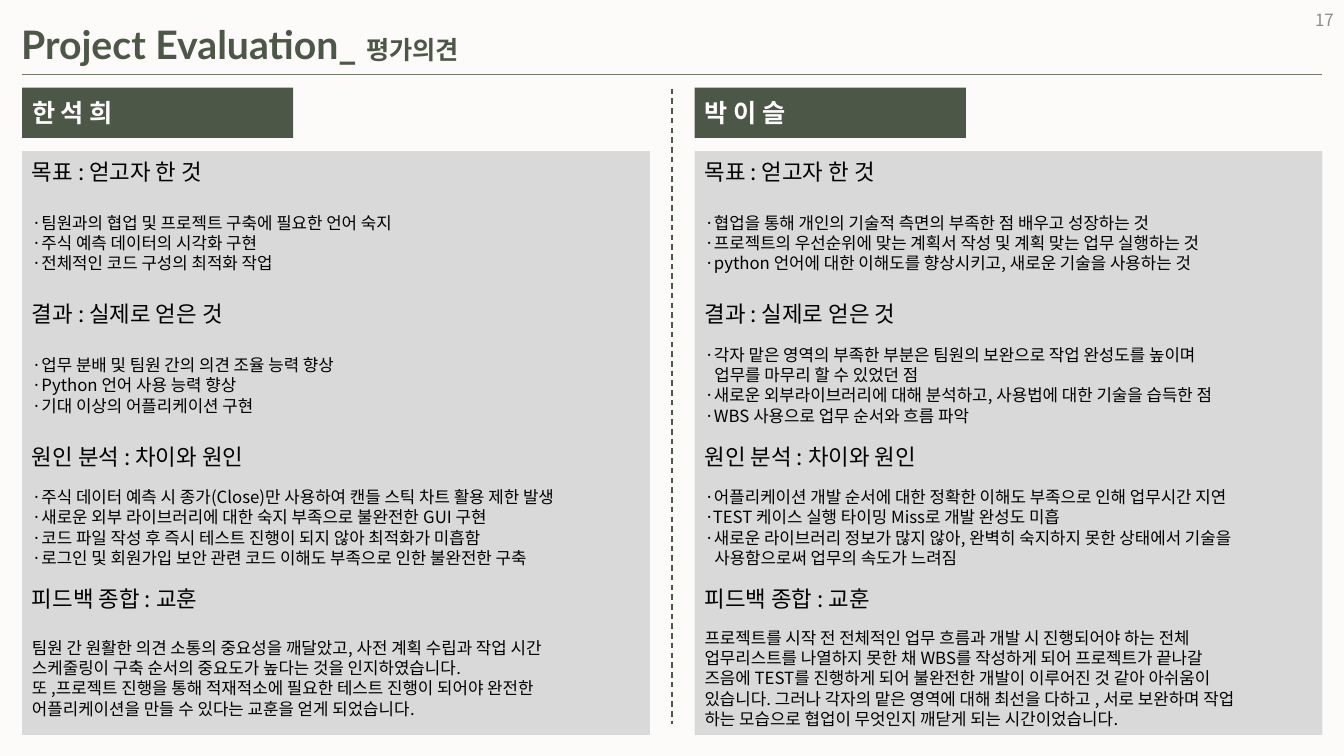
from lxml.etree import SubElement
from pptx import Presentation
from pptx.dml.color import RGBColor
from pptx.enum.dml import MSO_LINE_DASH_STYLE as Dash
from pptx.enum.shapes import MSO_CONNECTOR as Connector, MSO_SHAPE as Shape
from pptx.enum.text import MSO_ANCHOR as Anchor, MSO_AUTO_SIZE as AutoSize, PP_ALIGN as Align
from pptx.oxml.ns import qn
from pptx.util import Pt

KOREAN = "Noto Sans CJK KR"
GREEN = "4D5747"
HEADINGS = ["목표 : 얻고자 한 것", "결과 : 실제로 얻은 것", "원인 분석 : 차이와 원인", "피드백 종합 : 교훈"]
REVIEWS = {
    "한 석 희": [
        ["·팀원과의 협업 및 프로젝트 구축에 필요한 언어 숙지",
         "·주식 예측 데이터의 시각화 구현",
         "·전체적인 코드 구성의 최적화 작업"],
        ["·업무 분배 및 팀원 간의 의견 조율 능력 향상",
         "·Python 언어 사용 능력 향상",
         "·기대 이상의 어플리케이션 구현"],
        ["·주식 데이터 예측 시 종가(Close)만 사용하여 캔들 스틱 차트 활용 제한 발생",
         "·새로운 외부 라이브러리에 대한 숙지 부족으로 불완전한 GUI 구현",
         "·코드 파일 작성 후 즉시 테스트 진행이 되지 않아 최적화가 미흡함",
         "·로그인 및 회원가입 보안 관련 코드 이해도 부족으로 인한 불완전한 구축"],
        ["팀원 간 원활한 의견 소통의 중요성을 깨달았고, 사전 계획 수립과 작업 시간",
         "스케줄링이 구축 순서의 중요도가 높다는 것을 인지하였습니다.",
         "또 ,프로젝트 진행을 통해 적재적소에 필요한 테스트 진행이 되어야 완전한",
         "어플리케이션을 만들 수 있다는 교훈을 얻게 되었습니다."],
    ],
    "박 이 슬": [
        ["·협업을 통해 개인의 기술적 측면의 부족한 점 배우고 성장하는 것",
         "·프로젝트의 우선순위에 맞는 계획서 작성 및 계획 맞는 업무 실행하는 것",
         "·python 언어에 대한 이해도를 향상시키고, 새로운 기술을 사용하는 것"],
        ["·각자 맡은 영역의 부족한 부분은 팀원의 보완으로 작업 완성도를 높이며\v업무를 마무리 할 수 있었던 점",
         "·새로운 외부라이브러리에 대해 분석하고, 사용법에 대한 기술을 습득한 점",
         "·WBS 사용으로 업무 순서와 흐름 파악"],
        ["·어플리케이션 개발 순서에 대한 정확한 이해도 부족으로 인해 업무시간 지연",
         "·TEST 케이스 실행 타이밍 Miss로 개발 완성도 미흡",
         "·새로운 라이브러리 정보가 많지 않아, 완벽히 숙지하지 못한 상태에서 기술을\v사용함으로써 업무의 속도가 느려짐"],
        ["프로젝트를 시작 전 전체적인 업무 흐름과 개발 시 진행되어야 하는 전체",
         "업무리스트를 나열하지 못한 채 WBS를 작성하게 되어 프로젝트가 끝나갈",
         "즈음에 TEST를 진행하게 되어 불완전한 개발이 이루어진 것 같아 아쉬움이",
         "있습니다. 그러나 각자의 맡은 영역에 대해 최선을 다하고 , 서로 보완하며 작업",
         "하는 모습으로 협업이 무엇인지 깨닫게 되는 시간이었습니다."],
    ],
}


def rgb(color):
    return RGBColor.from_string(color)


def format_run(run, size, color, bold=False, latin=KOREAN):
    run.font.size = Pt(size)
    run.font.bold = bold
    run.font.color.rgb = rgb(color)
    run.font.name = latin
    SubElement(run.font._element, qn("a:ea"), typeface=KOREAN)


def write(frame, lines, size, color, bold=False, align=Align.LEFT, spacing=None):
    frame.word_wrap = True
    frame.vertical_anchor = Anchor.MIDDLE
    frame.text = "\n".join(lines)
    for paragraph, line in zip(frame.paragraphs, lines):
        paragraph.text = line
        paragraph.alignment = align
        if spacing:
            paragraph.line_spacing = Pt(spacing)
        if line.startswith("·"):
            properties = paragraph._p.get_or_add_pPr()
            properties.set("marL", str(Pt(7)))
            properties.set("indent", str(-Pt(7)))
        for run in paragraph.runs:
            format_run(run, size, color, bold)


def add_text(slide, left, top, width, height, lines, size, color, **options):
    box = slide.shapes.add_textbox(Pt(left), Pt(top), Pt(width), Pt(height))
    write(box.text_frame, lines, size, color, **options)


def add_panel(slide, left, top, width, height, color):
    panel = slide.shapes.add_shape(Shape.RECTANGLE, Pt(left), Pt(top), Pt(width), Pt(height))
    panel.shadow.inherit = False
    panel.fill.solid()
    panel.fill.fore_color.rgb = rgb(color)
    panel.line.fill.background()
    return panel


def add_rule(slide, start, end, color, dash=None):
    rule = slide.shapes.add_connector(Connector.STRAIGHT, *map(Pt, start + end))
    rule.line.color.rgb = rgb(color)
    rule.line.width = Pt(1)
    if dash:
        rule.line.dash_style = dash
    SubElement(rule._element.spPr, qn("a:effectLst"))


def add_header(slide, left, top, width, height):
    title = slide.shapes.title
    title.left, title.top, title.width, title.height = Pt(left - 7.9), Pt(top), Pt(371), Pt(height)
    frame = title.text_frame
    frame.auto_size = AutoSize.NONE
    frame.word_wrap = False
    frame.vertical_anchor = Anchor.TOP
    heading = frame.paragraphs[0]
    heading.alignment = Align.LEFT
    for words, size in (("Project Evaluation_ ", 28), ("평가의견", 18)):
        run = heading.add_run()
        run.text = words
        format_run(run, size, GREEN, True, "Lato")
    rule_y = top + height + 1.4
    add_rule(slide, (left, rule_y), (left + width, rule_y), "6F7C66")


def add_review(slide, left, top, width, height, person, answers):
    name_tag = add_panel(slide, left, top, 193.7, 36, GREEN)
    write(name_tag.text_frame, [person], 18, "FFFFFF", bold=True)
    body_top = top + 45.4
    add_panel(slide, left, body_top, width, height - 45.4, "D9D9D9")
    for index, (heading, answer) in enumerate(zip(HEADINGS, answers)):
        section_top = body_top - 0.7 + index * 101.5
        answer_height = 83 if index == len(HEADINGS) - 1 else 70.4
        add_text(slide, left, section_top, width, 31, [heading], 16, "000000")
        add_text(slide, left, section_top + 31, width, answer_height, answer, 12, "000000", spacing=14.5)


def build_evaluation_slide(deck):
    slide = deck.slides.add_slide(deck.slide_layouts[5])
    slide.background.fill.solid()
    slide.background.fill.fore_color.rgb = rgb("FCFBFA")
    add_header(slide, 15.8, 10.8, 928.8, 41)
    for column, (person, answers) in enumerate(REVIEWS.items()):
        add_review(slide, 15.8 + column * 480.4, 62.6, 448.5, 462.3, person, answers)
    add_rule(slide, (480, 63.4), (480, 517), GREEN, Dash.DASH)
    add_text(slide, 743.8, 0, 216, 28.8, ["17"], 12, "8C8C8C", align=Align.RIGHT)


def main():
    deck = Presentation()
    deck.slide_width, deck.slide_height = Pt(960), Pt(540)
    build_evaluation_slide(deck)
    deck.save("out.pptx")


if __name__ == "__main__":
    main()
